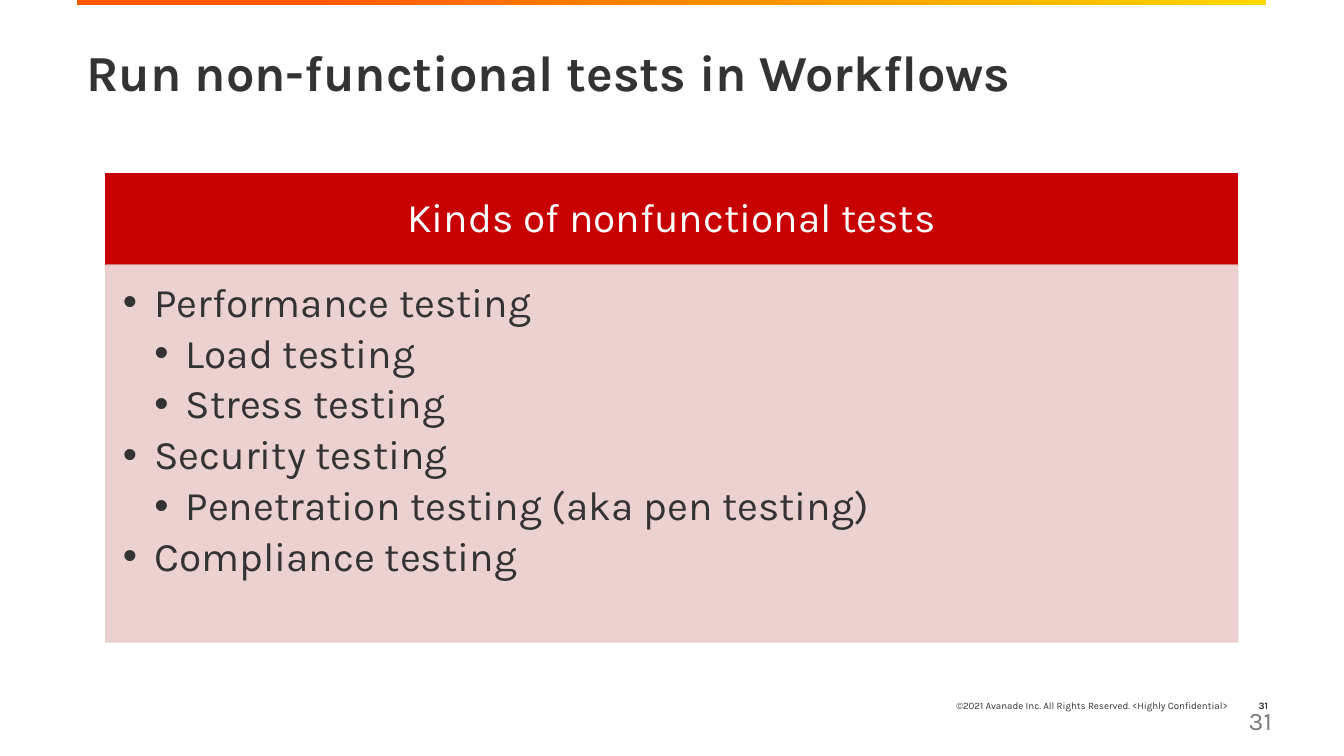
from pptx import Presentation, util as u
from pptx.dml import color
from pptx.enum import shapes, text
from pptx.oxml import parse_xml
from pptx.oxml.ns import nsdecls, qn

FONT = "Karla"
DARK, GREY, WHITE = "333333", "7A7A7A", "FFFFFF"
RED, PINK = "C80000", "EBCCCC"
LEFT, CENTER, RIGHT = text.PP_ALIGN.LEFT, text.PP_ALIGN.CENTER, text.PP_ALIGN.RIGHT
TOP, MIDDLE = text.MSO_ANCHOR.TOP, text.MSO_ANCHOR.MIDDLE
INSETS = (0.25, 0.13, 0.25, 0.13)
INDENT = 0.79

TESTS = [
    (1, "Performance testing"),
    (2, "Load testing"),
    (2, "Stress testing"),
    (1, "Security testing"),
    (2, "Penetration testing (aka pen testing)"),
    (1, "Compliance testing"),
]


def rgb(value):
    return color.RGBColor.from_string(value)


def set_frame(box, anchor=TOP, insets=INSETS):
    frame = box.text_frame
    frame.word_wrap = True
    frame.vertical_anchor = anchor
    frame.margin_left, frame.margin_top, frame.margin_right, frame.margin_bottom = map(u.Cm, insets)
    return frame


def add_span(para, words, size, ink=DARK, bold=False, align=LEFT):
    para.alignment = align
    span = para.add_run()
    span.text = words
    span.font.name = FONT
    span.font.size = u.Pt(size)
    span.font.bold = bold
    span.font.color.rgb = rgb(ink)


def add_label(page, place, words, size, anchor=TOP, **style):
    box = page.shapes.add_textbox(*map(u.Cm, place))
    para = set_frame(box, anchor).paragraphs[0]
    add_span(para, words, size, **style)
    return para


def add_panel(page, place):
    panel = page.shapes.add_shape(shapes.MSO_SHAPE.RECTANGLE, *map(u.Cm, place))
    panel.shadow.inherit = False
    return panel


def paint(panel, tint, opacity=100):
    panel.fill.solid()
    panel.fill.fore_color.rgb = rgb(tint)
    panel.line.color.rgb = rgb(tint)
    panel.line.width = u.Pt(1)
    if opacity < 100:
        for swatch in panel.element.spPr.iter(qn("a:srgbClr")):
            swatch.append(parse_xml(f'<a:alpha {nsdecls("a")} val="{opacity * 1000}"/>'))


def add_bullet(para, level):
    para.level = level - 1
    properties = para._p.get_or_add_pPr()
    properties.set("marL", str(u.Cm(INDENT * level)))
    properties.set("indent", str(-u.Cm(INDENT)))
    properties.append(parse_xml(f'<a:buFont {nsdecls("a")} typeface="Arial"/>'))
    properties.append(parse_xml(f'<a:buChar {nsdecls("a")} char="•"/>'))


def add_top_bar(page):
    bar = add_panel(page, (1.93, 0, 29.97, 0.14))
    bar.fill.gradient()
    bar.fill.gradient_angle = 0
    for stop, position, tint in zip(bar.fill.gradient_stops, (0.2, 1), ("FF5800", "FFD700")):
        stop.position = position
        stop.color.rgb = rgb(tint)
    bar.line.fill.background()


def add_test_list(page):
    # Heading band
    heading = add_panel(page, (2.67, 4.37, 28.52, 2.31))
    paint(heading, RED)
    para = set_frame(heading, MIDDLE, (0.58, 0.33, 0.58, 0.33)).paragraphs[0]
    para.line_spacing = 0.9
    add_span(para, "Kinds of nonfunctional tests", 29, WHITE, align=CENTER)

    # Bulleted body
    body = add_panel(page, (2.67, 6.68, 28.52, 9.5))
    paint(body, PINK, 90)
    frame = set_frame(body, TOP, (0.43, 0.43, 0.58, 0.64))
    for index, (level, words) in enumerate(TESTS):
        para = frame.add_paragraph() if index else frame.paragraphs[0]
        add_bullet(para, level)
        para.line_spacing = 0.9
        para.space_after = u.Pt(5)
        add_span(para, words, 29)


def main():
    deck = Presentation()
    deck.slide_width, deck.slide_height = u.Cm(33.87), u.Cm(19.05)
    page = deck.slides.add_slide(deck.slide_layouts[6])

    # Frame of the page
    add_top_bar(page)
    add_label(page, (19.76, 17.27, 11.43, 1.02),
              "©2021 Avanade Inc. All Rights Reserved. <Highly Confidential>",
              7, MIDDLE, align=RIGHT)
    add_label(page, (30.99, 17.27, 1.22, 1.02), "31", 7, MIDDLE, bold=True, align=RIGHT)
    add_label(page, (31.22, 17.65, 1.37, 1.02), "31", 18, ink=GREY)

    # Title and content
    title = add_label(page, (1.93, 1.09, 29.95, 2.77),
                      "Run non-functional tests in Workflows", 36, bold=True)
    title.line_spacing = 0.9
    add_test_list(page)

    deck.save("out.pptx")


if __name__ == "__main__":
    main()
